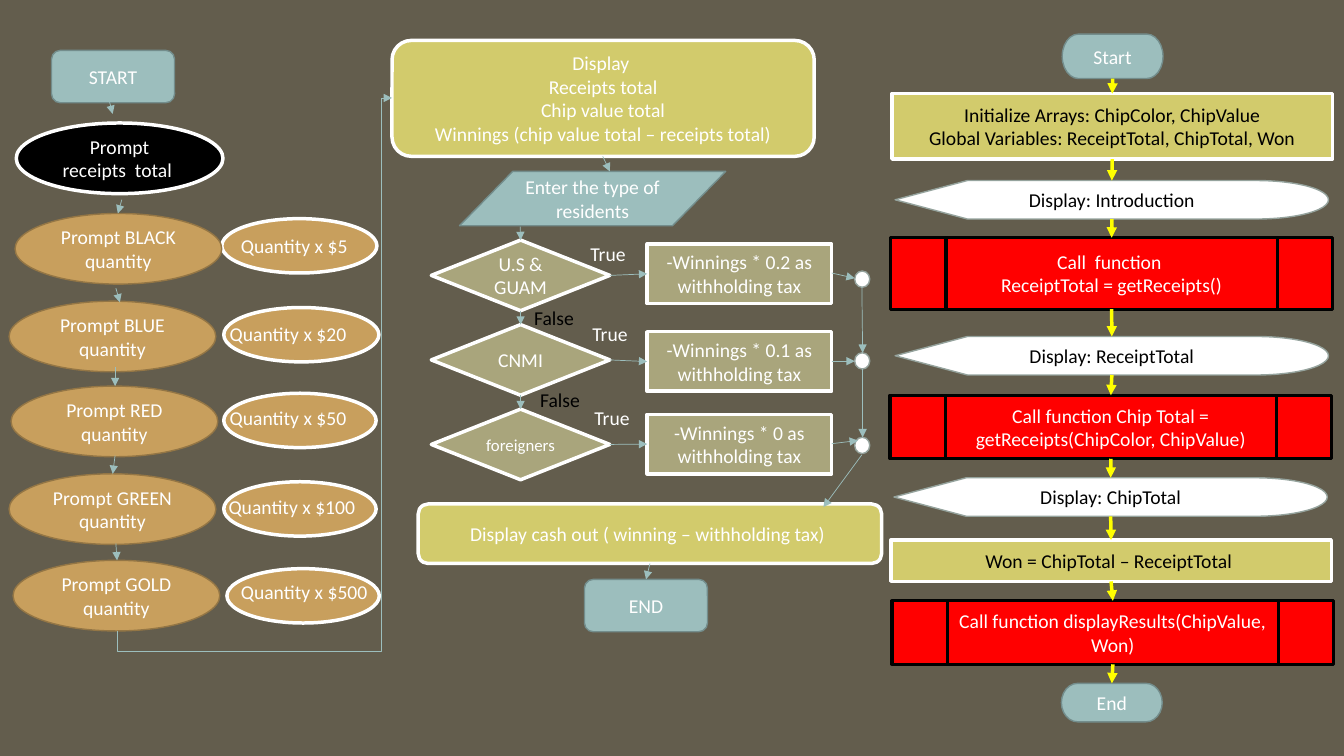
import pptx
import pptx.dml.color
import pptx.enum.shapes
import pptx.enum.text
import pptx.oxml
import pptx.oxml.ns
import pptx.util

Cm = pptx.util.Cm
Pt = pptx.util.Pt
RGBColor = pptx.dml.color.RGBColor
SHAPE = pptx.enum.shapes.MSO_SHAPE
CONNECTOR = pptx.enum.shapes.MSO_CONNECTOR
ALIGN = pptx.enum.text.PP_ALIGN
ANCHOR = pptx.enum.text.MSO_ANCHOR

BACKGROUND = RGBColor(0x63, 0x5D, 0x4D)
WHITE = RGBColor(0xFF, 0xFF, 0xFF)
BLACK = RGBColor(0x00, 0x00, 0x00)
TEAL = RGBColor(0x9C, 0xBE, 0xBD)
DARK_TEAL = RGBColor(0x73, 0x8D, 0x8C)
ORANGE = RGBColor(0xC8, 0x9F, 0x5D)
BROWN = RGBColor(0x94, 0x76, 0x45)
LIME = RGBColor(0xD2, 0xCB, 0x6C)
OLIVE = RGBColor(0xA9, 0xA5, 0x7C)
GREY = RGBColor(0x95, 0xA3, 0x9D)
RED = RGBColor(0xFF, 0x00, 0x00)
YELLOW = RGBColor(0xFF, 0xFF, 0x00)

# Each style: fill, outline, outline width, text colour
TERMINAL = (TEAL, DARK_TEAL, 1, WHITE)
PROMPT = (ORANGE, BROWN, 1, WHITE)
QUANTITY = (ORANGE, WHITE, 2.5, WHITE)
RECEIPTS = (BLACK, WHITE, 2.5, WHITE)
RESULT = (LIME, WHITE, 2.5, WHITE)
BRANCH = (OLIVE, WHITE, 2.5, WHITE)
JOINT = (WHITE, GREY, 1, BLACK)
PROCESS = (LIME, WHITE, 2.5, BLACK)
CALL = (RED, BLACK, 2.25, WHITE)

TOP, BOTTOM, RIGHT, LEFT = 0, 2, 3, 1


def write(frame, text, color, size=14, alignment=ALIGN.LEFT):
    """Newlines start paragraphs, vertical tabs break lines."""
    frame.word_wrap = True
    for index, content in enumerate(text.split("\n")):
        paragraph = frame.paragraphs[0] if index == 0 else frame.add_paragraph()
        paragraph.alignment = alignment
        for position, line in enumerate(content.split("\v")):
            if position:
                paragraph.add_line_break()
            run = paragraph.add_run()
            run.text = line
            run.font.name = "Calibri"
            run.font.size = Pt(size)
            run.font.color.rgb = color


def add_node(slide, kind, box, style, text="", size=14):
    fill, outline, width, color = style
    shape = slide.shapes.add_shape(kind, *map(Cm, box))
    shape.shadow.inherit = False
    shape.fill.solid()
    shape.fill.fore_color.rgb = fill
    shape.line.color.rgb = outline
    shape.line.width = Pt(width)
    if text:
        shape.text_frame.vertical_anchor = ANCHOR.MIDDLE
        write(shape.text_frame, text, color, size, ALIGN.CENTER)
    return shape


def add_label(slide, left, top, width, text, color=WHITE):
    label = slide.shapes.add_textbox(Cm(left), Cm(top), Cm(width), Cm(0.85))
    write(label.text_frame, text, color)
    label.text_frame.auto_size = pptx.enum.text.MSO_AUTO_SIZE.SHAPE_TO_FIT_TEXT


def add_arrow(slide, points=(0, 0, 0, 0), color=TEAL, width=0.5, kind=CONNECTOR.STRAIGHT):
    arrow = slide.shapes.add_connector(kind, *map(Cm, points))
    arrow.line.color.rgb = color
    arrow.line.width = Pt(width)
    namespace = pptx.oxml.ns.nsdecls("a")
    arrow.line._get_or_add_ln().append(
        pptx.oxml.parse_xml(f'<a:tailEnd {namespace} type="triangle"/>'))
    arrow._element.spPr.append(pptx.oxml.parse_xml(f"<a:effectLst {namespace}/>"))
    return arrow


def link(slide, source, target, sites=(BOTTOM, TOP), color=TEAL, width=0.5):
    arrow = add_arrow(slide, color=color, width=width)
    arrow.begin_connect(source, sites[0])
    arrow.end_connect(target, sites[1])


def add_return_path(slide):
    """Elbow from the last prompt, below and up to the totals box."""
    arrow = add_arrow(slide, (13.13, 12.65, -0.3, 5.72), kind=CONNECTOR.ELBOW)
    properties = arrow._element.spPr
    properties.find(pptx.oxml.ns.qn("a:xfrm")).set("rot", "5400000")
    geometry = properties.find(pptx.oxml.ns.qn("a:prstGeom"))
    geometry.set("prst", "bentConnector4")
    guides = geometry.find(pptx.oxml.ns.qn("a:avLst"))
    for name, value in (("adj1", -3900), ("adj2", 96100)):
        guide = guides.makeelement(pptx.oxml.ns.qn("a:gd"),
                                   {"name": name, "fmla": f"val {value}"})
        guides.append(guide)


def add_prompts(slide):
    # Quantity oval (left, top, width), its label (left, top, width, text), prompt
    rows = (
        ((5.59, 5.51, 3.91), (5.82, 5.77, 3.61, "Quantity x $5"), (0.38, 5.38, "BLACK")),
        ((5.64, 7.75, 3.91), (5.54, 7.98, 3.61, "Quantity x $20"), (0.23, 7.59, "BLUE")),
        ((5.64, 9.91, 3.84), (5.54, 10.11, 3.61, "Quantity x $50"), (0.28, 9.73, "RED")),
        ((5.64, 12.14, 3.84), (5.51, 12.34, 3.91, "Quantity x $100"), (0.23, 11.94, "GREEN")),
        ((5.72, 14.33, 3.84), (5.82, 14.48, 3.91, "Quantity x $500"), (0.33, 14.12, "GOLD")),
    )
    add_node(slide, SHAPE.ROUNDED_RECTANGLE, (1.3, 1.27, 3.1, 1.32), TERMINAL, "START")
    add_node(slide, SHAPE.OVAL, (0.41, 3.1, 5.21, 1.78), RECEIPTS, "Prompt receipts  total ")
    for oval, label, (left, top, chip) in rows:
        add_node(slide, SHAPE.OVAL, (*oval, 1.37), QUANTITY)
        add_node(slide, SHAPE.OVAL, (left, top, 5.21, 1.78), PROMPT, f"Prompt {chip} quantity")
        add_label(slide, *label)
    for points in ((2.74, 2.49, 2.84, 2.87), (3.07, 5.03, 2.97, 5.38),
                   (2.92, 7.26, 3.02, 7.62), (2.9, 9.25, 2.9, 9.73),
                   (2.9, 11.48, 2.84, 11.94), (2.92, 13.69, 2.95, 14.12)):
        add_arrow(slide, points)


def add_tax_branches(slide):
    add_node(slide, SHAPE.ROUNDED_RECTANGLE, (9.88, 1.02, 10.64, 2.92), RESULT,
             "Display \nReceipts total\nChip value total\n"
             "Winnings (chip value total – receipts total)")
    add_node(slide, SHAPE.FLOWCHART_DATA, (11.58, 4.32, 6.71, 1.37), TERMINAL,
             "Enter the type of residents")
    cash_out = add_node(slide, SHAPE.ROUNDED_RECTANGLE, (10.54, 12.7, 11.68, 1.5), RESULT,
                        "Display cash out ( winning – withholding tax) ")
    end = add_node(slide, SHAPE.ROUNDED_RECTANGLE, (14.73, 14.6, 3.1, 1.32), TERMINAL, "END")

    # Resident, text size, rate, tops of tax box and joint, left and top of "True"
    branches = (
        ("U.S & GUAM", 14, "0.2", 6.15, 6.83, 14.63, 5.97),
        ("CNMI", 14, "0.1", 8.36, 8.89, 14.68, 7.98),
        ("foreigners", 12, "0", 10.44, 11.02, 14.73, 10.11),
    )
    previous = None
    for row, (resident, size, rate, tax_top, joint_top, true_left, true_top) in enumerate(branches):
        decision = add_node(slide, SHAPE.FLOWCHART_DECISION,
                            (10.87, 6.05 + 2.13 * row, 4.5, 1.78), BRANCH, resident, size)
        tax = add_node(slide, SHAPE.RECTANGLE, (16.31, tax_top, 4.65, 1.5), BRANCH,
                       f"-Winnings * {rate} as withholding tax")
        add_node(slide, SHAPE.FLOWCHART_CONNECTOR, (21.54, joint_top, 0.38, 0.41), JOINT)
        link(slide, decision, tax, (RIGHT, LEFT))
        if previous:
            link(slide, previous, decision)
        add_label(slide, true_left, true_top, 1.7, "True")
        previous = decision
    add_label(slide, 13.21, 7.59, 1.7, "False", BLACK)
    add_label(slide, 13.36, 9.65, 1.7, "False", BLACK)

    for points in ((15.19, 3.94, 15.37, 4.32), (13.11, 5.71, 13.12, 6.05),
                   (20.96, 6.88, 21.54, 7.01), (20.96, 9.1, 21.54, 9.1),
                   (20.96, 11.18, 21.62, 11.1), (21.72, 7.22, 21.74, 8.89),
                   (21.74, 9.3, 21.74, 11.02), (21.72, 11.46, 20.75, 12.78)):
        add_arrow(slide, points)
    link(slide, cash_out, end)
    add_return_path(slide)


def add_main_program(slide):
    process, call = SHAPE.FLOWCHART_PROCESS, SHAPE.FLOWCHART_PREDEFINED_PROCESS
    display, terminator = SHAPE.FLOWCHART_DISPLAY, SHAPE.FLOWCHART_TERMINATOR
    steps = (
        (terminator, (26.77, 0.86, 2.54, 1.12), TERMINAL, "Start"),
        (process, (22.48, 2.36, 11.1, 1.65), PROCESS,
         "Initialize Arrays: ChipColor, ChipValue\n"
         "Global Variables: ReceiptTotal, ChipTotal, Won"),
        (display, (22.56, 4.55, 10.92, 0.97), JOINT, "Display: Introduction"),
        (call, (22.45, 5.99, 11.13, 1.8), CALL, "Call  function \vReceiptTotal = getReceipts()"),
        (display, (22.56, 8.48, 10.92, 0.97), JOINT, "Display: ReceiptTotal"),
        (call, (22.43, 9.96, 11.13, 1.6), CALL,
         "Call function Chip Total = getReceipts(ChipColor, ChipValue)"),
        (display, (22.53, 12.04, 10.92, 0.97), JOINT, "Display: ChipTotal"),
        (process, (22.45, 13.61, 11.1, 1.04), PROCESS, "Won = ChipTotal – ReceiptTotal "),
        (call, (22.48, 15.14, 11.13, 1.6), CALL, "Call function displayResults(ChipValue, Won)"),
        (terminator, (26.75, 17.22, 2.54, 0.97), TERMINAL, "End"),
    )
    nodes = [add_node(slide, *step) for step in steps]
    for source, target in zip(nodes, nodes[1:]):
        link(slide, source, target, color=YELLOW, width=2.5)


def main():
    presentation = pptx.Presentation()
    presentation.slide_width, presentation.slide_height = Cm(33.87), Cm(19.05)
    slide = presentation.slides.add_slide(presentation.slide_layouts[6])
    slide.background.fill.solid()
    slide.background.fill.fore_color.rgb = BACKGROUND
    add_prompts(slide)
    add_tax_branches(slide)
    add_main_program(slide)
    presentation.save("out.pptx")


main()
